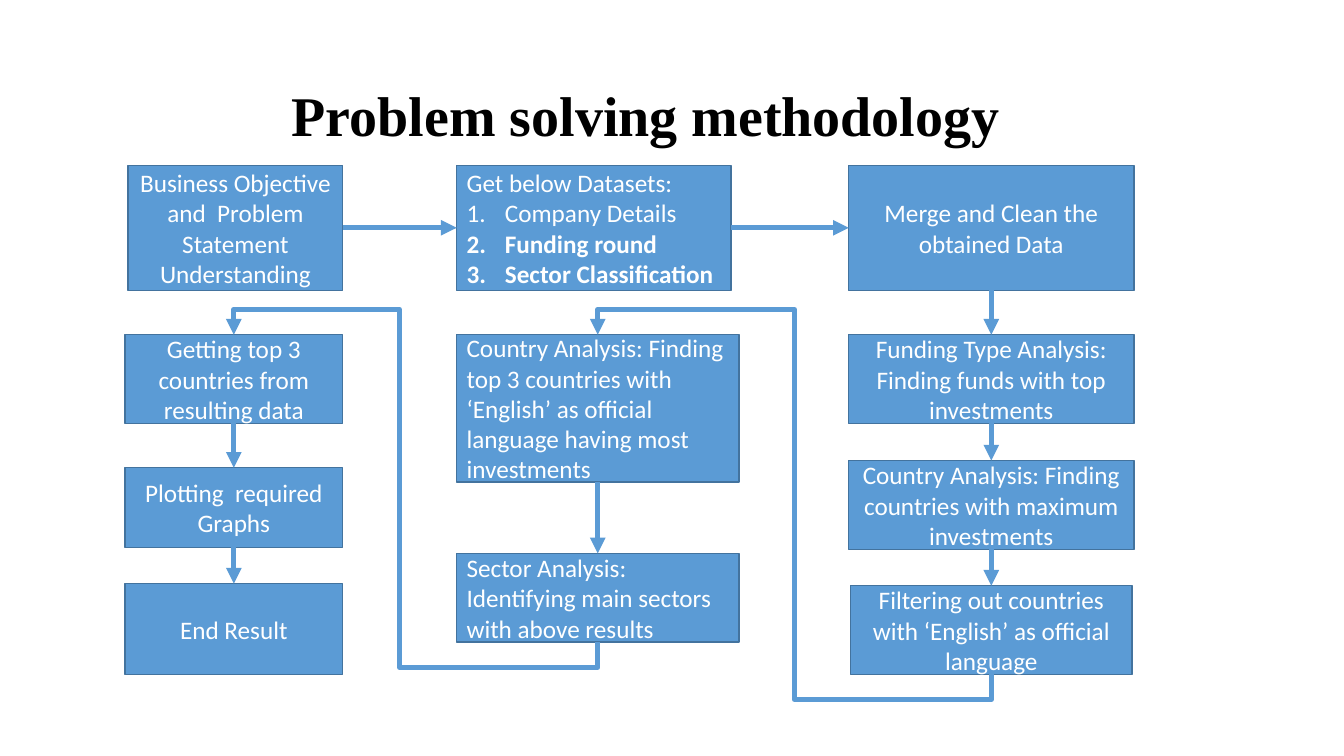
from lxml.etree import SubElement
from pptx import Presentation
from pptx.dml.color import RGBColor
from pptx.enum.shapes import MSO_CONNECTOR, MSO_SHAPE
from pptx.enum.text import MSO_ANCHOR, MSO_AUTO_SIZE, PP_ALIGN
from pptx.oxml.ns import qn
from pptx.util import Inches, Pt

HUES = {"fill": "5B9BD5", "edge": "43739E", "text": "FFFFFF", "title": "000000"}
TOP, LEFT, BASE, RIGHT = range(4)


def hue(name):
    return RGBColor.from_string(HUES[name])


def write(para, text, size=18, font="Calibri", color="text", bold=None,
          align=PP_ALIGN.CENTER):
    para.alignment = align
    run = para.add_run()
    run.text = text
    run.font.size = Pt(size)
    run.font.name = font
    run.font.bold = bold
    run.font.color.rgb = hue(color)


class Deck:
    """Lengths are columns and rows of a 100 by 100 grid."""

    def __init__(self):
        self.show = Presentation()
        self.show.slide_width = Inches(13.333)
        self.show.slide_height = Inches(7.5)
        self.slide = self.show.slides.add_slide(self.show.slide_layouts[5])

    def col(self, count):
        return round(self.show.slide_width * count / 100)

    def row(self, count):
        return round(self.show.slide_height * count / 100)

    def title(self, text, x, y, w, h):
        head = self.slide.shapes.title
        head.left, head.top = self.col(x), self.row(y)
        head.width, head.height = self.col(w), self.row(h)
        frame = head.text_frame
        frame.auto_size = MSO_AUTO_SIZE.NONE
        frame.vertical_anchor = MSO_ANCHOR.MIDDLE
        para = frame.paragraphs[0]
        para.line_spacing = 0.9
        write(para, text, size=40, font="Times New Roman", color="title", bold=True)

    def box(self, text, x, y, w, h, align=PP_ALIGN.CENTER):
        box = self.slide.shapes.add_shape(
            MSO_SHAPE.RECTANGLE, self.col(x), self.row(y), self.col(w), self.row(h))
        box.shadow.inherit = False
        box.fill.solid()
        box.fill.fore_color.rgb = hue("fill")
        box.line.color.rgb = hue("edge")
        box.line.width = Pt(1)
        frame = box.text_frame
        frame.word_wrap = True
        frame.vertical_anchor = MSO_ANCHOR.MIDDLE
        write(frame.paragraphs[0], text, align=align)
        return box

    def item(self, box, text, bold=None):
        para = box.text_frame.add_paragraph()
        write(para, text, bold=bold, align=PP_ALIGN.LEFT)
        props = para._p.get_or_add_pPr()
        props.set("marL", str(Inches(0.38)))
        props.set("indent", str(-Inches(0.38)))
        SubElement(props, qn("a:buFont"), typeface="+mj-lt")
        SubElement(props, qn("a:buAutoNum"), type="arabicPeriod")

    def style(self, line):
        line.line.color.rgb = hue("fill")
        line.line.width = Pt(3.75)
        props = line._element.spPr
        SubElement(props.find(qn("a:ln")), qn("a:tailEnd"), type="triangle")
        SubElement(props, qn("a:effectLst"))

    def arrow(self, start, end, out=BASE, into=TOP):
        line = self.slide.shapes.add_connector(MSO_CONNECTOR.STRAIGHT, 0, 0, 0, 0)
        line.begin_connect(start, out)
        line.end_connect(end, into)
        self.style(line)

    def loop(self, start, end, turn=0.5, stub=3.33):
        """Runs from the base of one box up and back to the top of another."""
        x1, y1 = start.left + start.width // 2, start.top + start.height
        x2, y2 = end.left + end.width // 2, end.top
        run, rise = x1 - x2, y1 - y2
        # The frame is turned a quarter, so rise and run swap places
        x, y = (x1 + x2 - rise) // 2, (y1 + y2 - run) // 2
        line = self.slide.shapes.add_connector(
            MSO_CONNECTOR.ELBOW, x + rise, y, x, y + run)
        props = line._element.spPr
        props.find(qn("a:xfrm")).set("rot", "5400000")
        shape = props.find(qn("a:prstGeom"))
        shape.set("prst", "bentConnector5")
        over = self.row(stub) / rise
        for place, share in enumerate((-over, turn, 1 + over), 1):
            SubElement(shape.find(qn("a:avLst")), qn("a:gd"),
                       name=f"adj{place}", fmla=f"val {round(share * 100000)}")
        self.style(line)


def main():
    deck = Deck()
    deck.title(" Problem solving methodology", 9.3, 9.33, 76.43, 12.53)

    # Grid shared by the boxes
    one, two, three = 9.3, 33.98, 63.15
    slim, mid, wide = 16.2, 21, 21.22
    first, next_row = 21.87, 44.27
    tall, low = 16.53, 11.73

    # Top row
    goal = deck.box("Business Objective and  Problem Statement Understanding",
                    9.53, first, 15.98, tall)
    data = deck.box("Get below Datasets:", two, first, 20.4, tall, PP_ALIGN.LEFT)
    deck.item(data, "Company Details")
    for name in ("Funding round", "Sector Classification"):
        deck.item(data, name, bold=True)
    merge = deck.box("Merge and Clean the obtained Data", three, first, wide, tall)

    # Right column
    fund = deck.box("Funding Type Analysis: Finding funds with top investments",
                    three, next_row, wide, low)
    most = deck.box("Country Analysis: Finding countries with maximum investments",
                    three, 60.93, wide, low)
    sift = deck.box("Filtering out countries with ‘English’ as official language",
                    63.3, 77.47, 20.92, low)

    # Middle column
    land = deck.box("Country Analysis: Finding top 3 countries with ‘English’ as "
                    "official language having most investments",
                    two, next_row, mid, 19.47, PP_ALIGN.LEFT)
    sector = deck.box("Sector Analysis: Identifying main sectors with above results",
                      two, 73.2, mid, low, PP_ALIGN.LEFT)

    # Left column
    best = deck.box("Getting top 3 countries from resulting data",
                    one, next_row, slim, low)
    plot = deck.box("Plotting  required Graphs", one, 61.87, slim, 10.53)
    done = deck.box("End Result", one, 77.2, slim, 12)

    # Arrows across, down and back to the next column
    for start, end in ((goal, data), (data, merge)):
        deck.arrow(start, end, RIGHT, LEFT)
    for start, end in ((merge, fund), (fund, most), (most, sift),
                       (land, sector), (best, plot), (plot, done)):
        deck.arrow(start, end)
    deck.loop(sift, land)
    deck.loop(sector, best, turn=0.545)

    deck.show.save("out.pptx")


if __name__ == "__main__":
    main()
